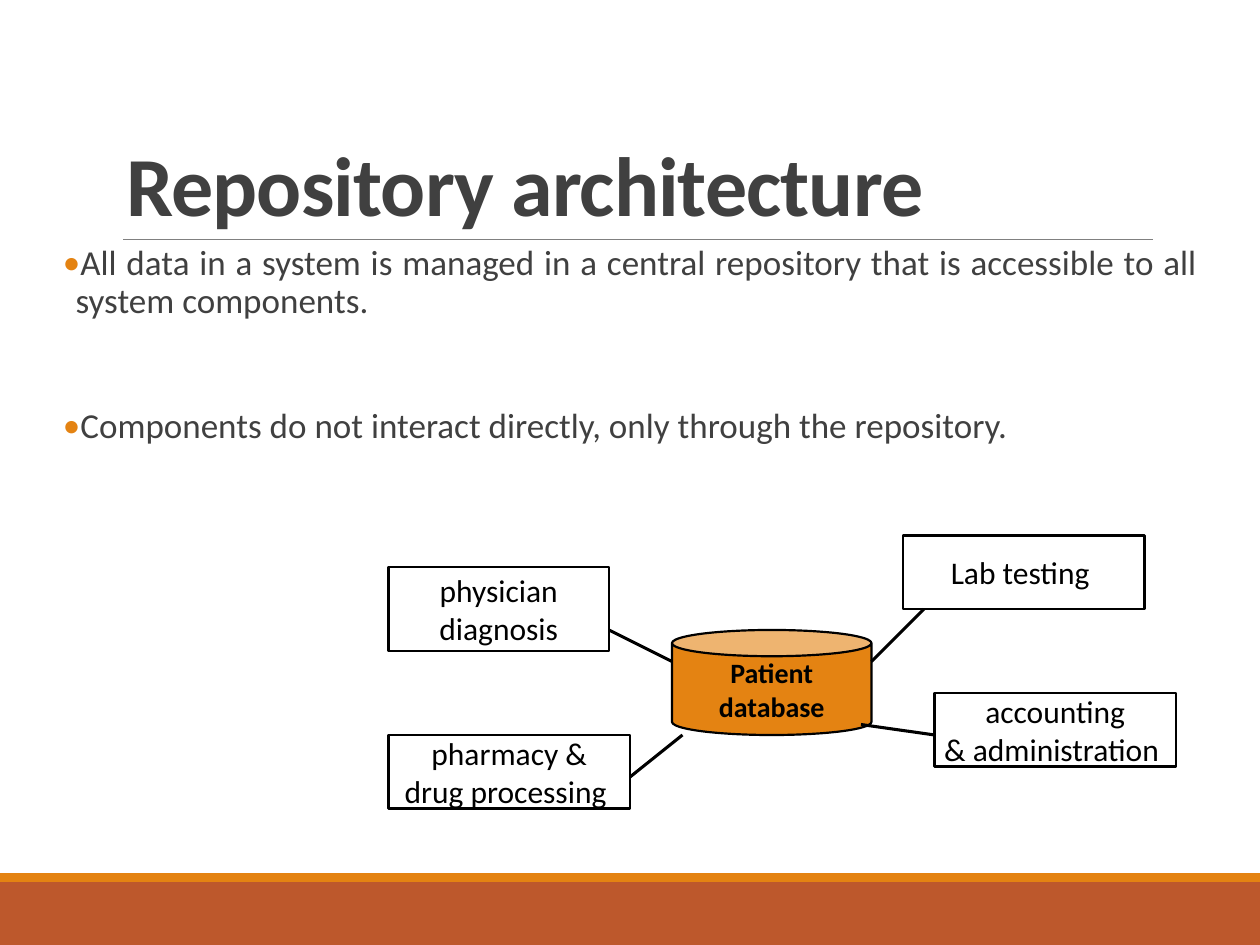
import pptx
import pptx.util
import pptx.dml.color
import pptx.enum.shapes
import pptx.enum.text
import lxml.etree

Pt = pptx.util.Pt
RGB = pptx.dml.color.RGBColor.from_string
Kind = pptx.enum.shapes.MSO_SHAPE
Anchor = pptx.enum.text.MSO_ANCHOR
Align = pptx.enum.text.PP_ALIGN
tag = pptx.oxml.ns.qn

hue = {"rust": "BD582C", "orange": "E48312", "gray": "808080",
       "text": "404040", "black": "000000", "white": "FFFFFF"}

deck = pptx.Presentation()
deck.slide_width, deck.slide_height = Pt(720), Pt(540)
slide = deck.slides.add_slide(deck.slide_layouts[6])
shapes = slide.shapes


def add_run(para, words, size, color, bold=False):
    run = para.add_run()
    run.text = words
    run.font.name = "Calibri"
    run.font.size = Pt(size)
    run.font.bold = bold
    run.font.color.rgb = RGB(hue[color])
    return run


def add_line(ends, color, width):
    line = shapes.add_connector(pptx.enum.shapes.MSO_CONNECTOR.STRAIGHT, *map(Pt, ends))
    line.line.color.rgb = RGB(hue[color])
    line.line.width = Pt(width)
    lxml.etree.SubElement(line._element.spPr, tag("a:effectLst"))


for top, high, color in [(504, 36, "rust"), (499, 5, "orange")]:
    band = shapes.add_shape(Kind.RECTANGLE, 0, Pt(top), Pt(720), Pt(high))
    band.shadow.inherit = False
    band.fill.solid()
    band.fill.fore_color.rgb = RGB(hue[color])
    band.line.fill.background()

add_line((70.5, 136.8, 658.8, 136.8), "gray", 0.5)

title = shapes.add_textbox(Pt(65), Pt(22.5), Pt(594), Pt(114.3)).text_frame
title.word_wrap = True
title.vertical_anchor = Anchor.BOTTOM
para = title.paragraphs[0]
para.line_spacing = 0.85
run = add_run(para, "Repository architecture", 48, "text", True)
run.font._element.set("spc", "-50")

body = shapes.add_textbox(Pt(36), Pt(136.8), Pt(648), Pt(247)).text_frame
body.word_wrap = True
body.margin_left = body.margin_right = 0
points = [
    ("All data in a system is managed in a central repository that is accessible "
     "to all system components. ", 12),
    ("Components do not interact directly, only through the repository.", 48),
]
for i, (words, gap) in enumerate(points):
    para = body.add_paragraph() if i else body.paragraphs[0]
    para.alignment = Align.JUSTIFY
    para.line_spacing = 0.9
    para.space_before, para.space_after = Pt(gap), Pt(2)
    props = para._p.get_or_add_pPr()
    props.set("marL", str(Pt(7.2)))
    props.set("indent", str(Pt(-7.2)))
    tint = lxml.etree.SubElement(props, tag("a:buClr"))
    lxml.etree.SubElement(tint, tag("a:srgbClr")).set("val", hue["orange"])
    lxml.etree.SubElement(props, tag("a:buFont")).set("typeface", "Calibri")
    lxml.etree.SubElement(props, tag("a:buChar")).set("char", "•")
    add_run(para, words, 20, "text")

box = (Kind.RECTANGLE, "white", 1.5, 18, False)
store = (Kind.CAN, "orange", 1.25, 16, True)
nodes = [
    (store, (384, 360, 114, 60), ["Patient", "database"]),
    (box, (222, 324, 126, 48), ["physician", "diagnosis"]),
    (box, (222, 420, 138, 42), ["pharmacy &", "drug processing "]),
    (box, (516, 306, 138, 42), ["Lab testing "]),
    (box, (534, 396, 138, 42), ["accounting", "& administration "]),
]
for (kind, fill, width, size, bold), place, lines in nodes:
    node = shapes.add_shape(kind, *map(Pt, place))
    node.shadow.inherit = False
    node.fill.solid()
    node.fill.fore_color.rgb = RGB(hue[fill])
    node.line.color.rgb = RGB(hue["black"])
    node.line.width = Pt(width)
    frame = node.text_frame
    frame.word_wrap = False
    frame.vertical_anchor = Anchor.MIDDLE
    for i, words in enumerate(lines):
        para = frame.add_paragraph() if i else frame.paragraphs[0]
        para.alignment = Align.CENTER
        add_run(para, words, size, "black", bold)

for ends in [(348, 360, 384, 378), (498, 378, 528, 348),
             (492, 414, 534, 420), (360, 444, 390, 420)]:
    add_line(ends, "black", 1.75)

deck.save("out.pptx")
